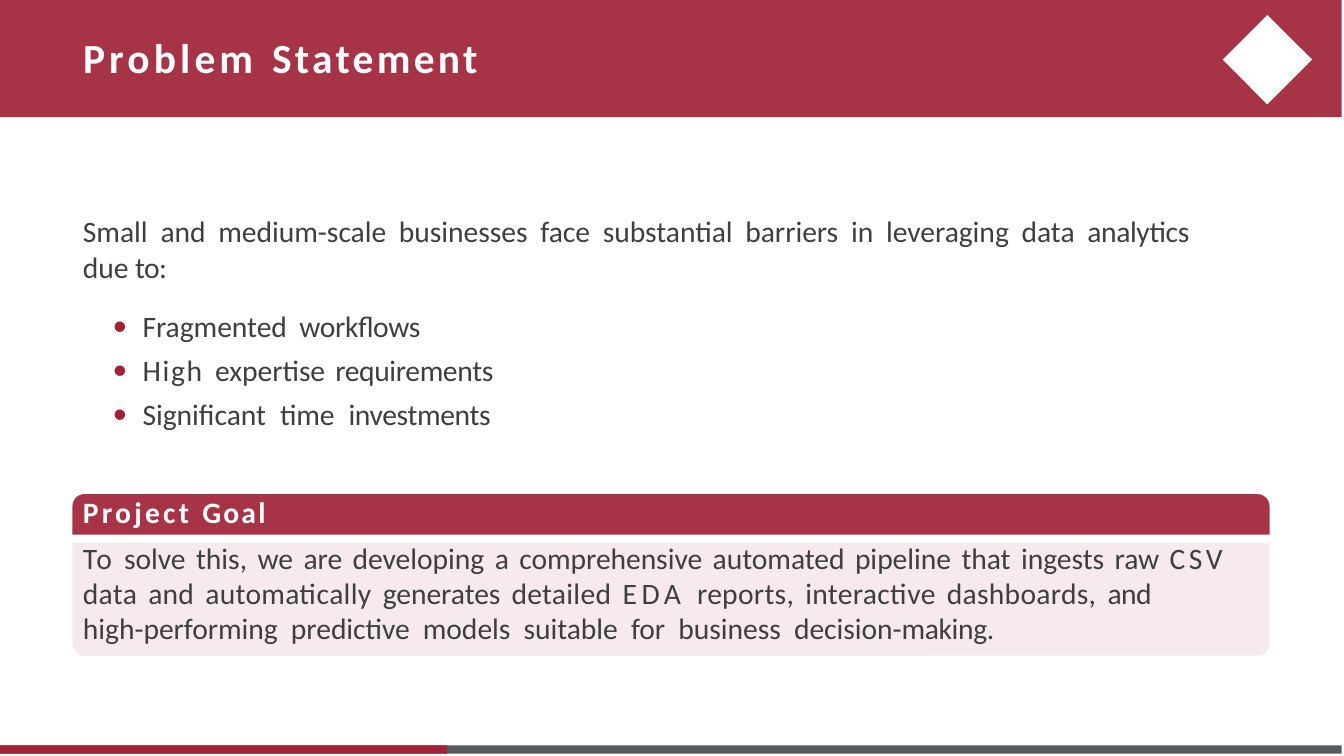
from lxml.etree import SubElement
from pptx import Presentation
from pptx.dml.color import RGBColor
from pptx.enum.shapes import MSO_SHAPE
from pptx.enum.text import MSO_ANCHOR, MSO_AUTO_SIZE, PP_ALIGN
from pptx.oxml.ns import qn
from pptx.util import Inches, Pt

COLORS = {
    "banner": "A63446",
    "accent": "A02237",
    "panel": "F6EAEC",
    "gray": "58595A",
    "text": "3F3F3F",
    "white": "FFFFFF",
}


def add_block(left, top, width, height, color, kind=MSO_SHAPE.RECTANGLE, corners=()):
    sp = slide.shapes.add_shape(
        kind, Inches(left), Inches(top), Inches(width), Inches(height))
    for i, corner in enumerate(corners):
        sp.adjustments[i] = corner
    sp.shadow.inherit = False
    sp.fill.solid()
    sp.fill.fore_color.rgb = RGBColor.from_string(COLORS[color])
    sp.line.fill.background()


def add_runs(p, runs, color, size=10, bold=False):
    p.alignment = PP_ALIGN.LEFT
    for text, spacing, gap in runs:
        for i, word in enumerate(text.split(" ")):
            pieces = [(" ", gap)] if i else []
            if word:
                pieces.append((word, spacing))
            for piece, spc in pieces:
                r = p.add_run()
                r.text = piece
                r.font.name = "Calibri"
                r.font.size = Pt(size)
                r.font.bold = bold
                r.font.color.rgb = RGBColor.from_string(COLORS[color])
                r._r.get_or_add_rPr().set("spc", str(round(spc * 100)))


prs = Presentation()
prs.slide_width, prs.slide_height = Inches(6.31), Inches(3.55)
slide = prs.slides.add_slide(prs.slide_layouts[5])

add_block(0, 0, 6.3, 0.55, "banner")
add_block(5.74, 0.07, 0.42, 0.42, "white", MSO_SHAPE.DIAMOND)
add_block(0.34, 2.32, 5.62, 0.19, "banner", MSO_SHAPE.ROUND_2_SAME_RECTANGLE, (0.3, 0))
add_block(0.34, 2.55, 5.62, 0.53, "panel", MSO_SHAPE.ROUND_2_SAME_RECTANGLE, (0, 0.11))
add_block(0, 3.5, 6.3, 0.04, "gray")
add_block(0, 3.5, 2.1, 0.04, "accent")

title = slide.shapes.title
body = slide.shapes.add_textbox(0, 0, 0, 0)
goal = slide.shapes.add_textbox(0, 0, 0, 0)
for sp, top, width, height, inset in (
    (title, 0.13, 4.96, 0.27, 0.02),
    (body, 0.99, 5.36, 1.05, 0.01),
    (goal, 2.26, 5.54, 0.79, 0.06),
):
    sp.left, sp.top = Inches(0.38), Inches(top)
    sp.width, sp.height = Inches(width), Inches(height)
    tf = sp.text_frame
    tf.word_wrap = True
    tf.auto_size = MSO_AUTO_SIZE.NONE
    tf.vertical_anchor = MSO_ANCHOR.TOP
    tf.margin_left, tf.margin_right = Inches(0.01), 0
    tf.margin_top, tf.margin_bottom = Inches(inset), 0

slide.shapes._spTree.append(title._element)
add_runs(title.text_frame.paragraphs[0],
         [("Problem ", 1.4, 1.7), ("Statement", 1.1, 0)], "white", 14, True)

tf = body.text_frame
add_runs(tf.paragraphs[0], [
    ("Small and medium-scale businesses face substantial barriers in leveraging data ", 0, 2.1),
    ("analytics ", -0.1, 0),
    ("due ", 0, 0),
    ("to:", -0.2, 0),
], "text")

bullets = [
    (7.9, [("Fragmented ", 0, 2), ("workflows", -0.1, 0)]),
    (2.9, [("High ", 0.6, 1.5), ("expertise ", 0, 1.2), ("requirements", -0.1, 0)]),
    (3, [("Significant time ", 0, 2.5), ("investments", -0.1, 0)]),
]
for space, runs in bullets:
    p = tf.add_paragraph()
    pPr = p._p.get_or_add_pPr()
    pPr.set("marL", str(Inches(0.28)))
    pPr.set("indent", str(Inches(-0.14)))
    clr = SubElement(pPr, qn("a:buClr"))
    SubElement(clr, qn("a:srgbClr"), val=COLORS["accent"])
    SubElement(pPr, qn("a:buFont"), typeface="Calibri")
    SubElement(pPr, qn("a:buChar"), char="•")
    p.space_before = Pt(space)
    add_runs(p, runs, "text")

tf = goal.text_frame
add_runs(tf.paragraphs[0], [("Project ", 1.1, 1.1), ("Goal", 0.8, 0)], "white", bold=True)
p = tf.add_paragraph()
p.space_before = Pt(3.4)
add_runs(p, [
    ("To ", 0.6, 1.3),
    ("solve this, we are developing a comprehensive automated pipeline that ingests raw ", 0, 1.3),
    ("CSV ", 1.2, 0),
    ("data and automatically ", 0.1, 1.5),
    ("generates ", 0, 1.5),
    ("detailed ", 0.1, 1.5),
    ("EDA ", 1.6, 1.6),
    ("reports, interactive dashboards, ", 0.1, 1.5),
    ("and", -0.2, 0),
], "text")
p = tf.add_paragraph()
p.line_spacing = Pt(11.9)
add_runs(p, [
    ("high-performing predictive models suitable for business decision-", 0, 2.2),
    ("making.", -0.1, 0),
], "text")

prs.save("out.pptx")
